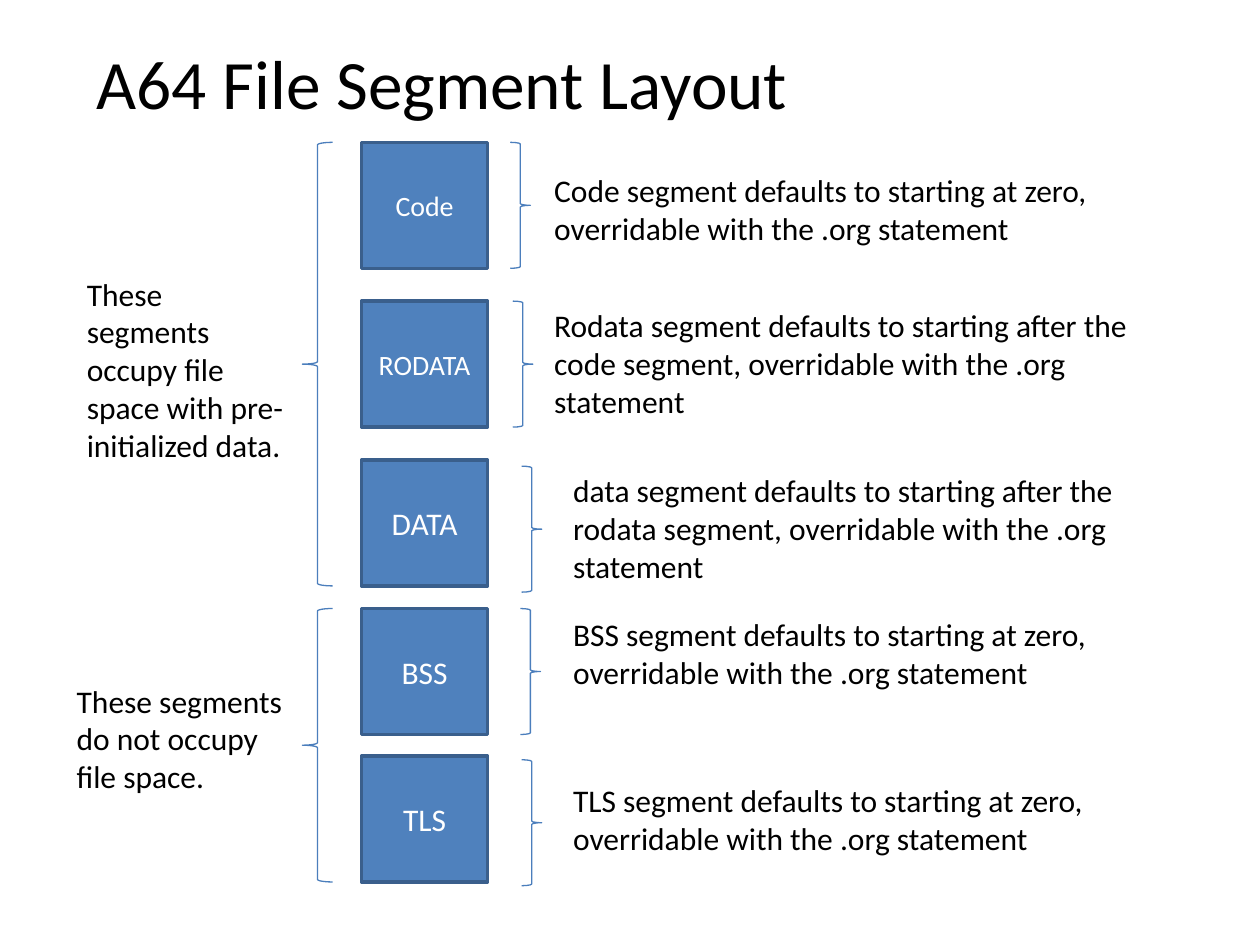
import collections
import pptx
import pptx.util
import pptx.dml.color
import pptx.enum.shapes
import pptx.enum.text

COLUMNS, ROWS = 100, 75
SHAPES = pptx.enum.shapes.MSO_SHAPE
ALIGN = pptx.enum.text.PP_ALIGN
ANCHOR = pptx.enum.text.MSO_ANCHOR
Box = collections.namedtuple("Box", "left top width height")
Segment = collections.namedtuple("Segment", "name size top brace note text")
Group = collections.namedtuple("Group", "first last note text")
Theme = collections.namedtuple("Theme", "font ink light fill edge brace title body small edge_width brace_width")
THEME = Theme("Calibri", "000000", "FFFFFF", "4F81BD", "3A5F8C", "4B7EBC", 39.6, 18, 16, 2, 0.75)
SIDE = 10

DEFAULT = "{} segment defaults to starting {}, overridable with the .org statement"
SEGMENTS = [
    Segment("Code", THEME.small, 11.3, (11.8, 0), Box(14.3, 1.8, 48.7, 7.1),
            DEFAULT.format("Code", "at zero")),
    Segment("RODATA", THEME.small, 23.9, (12, 0), Box(14.3, -0.1, 48.7, 10.1),
            DEFAULT.format("Rodata", "after the code segment")),
    Segment("DATA", THEME.body, 36.5, (12.7, 0.5), Box(15.8, 0.4, 48.7, 10.1),
            DEFAULT.format("data", "after the rodata segment")),
    Segment("BSS", THEME.body, 48.3, (12.6, 0), Box(15.8, 0, 45.7, 7.1),
            DEFAULT.format("BSS", "at zero")),
    Segment("TLS", THEME.body, 60, (12.7, 0.3), Box(15.8, 1.5, 45.7, 7.1),
            DEFAULT.format("TLS", "at zero")),
]
GROUPS = [
    Group(0, 2, Box(5.9, 10, 18.1, 16.2),
          "These segments occupy file space with pre-initialized data."),
    Group(3, 4, Box(5.1, 5.3, 18.9, 10.1),
          "These segments do not occupy file space."),
]


def assign(target, values):
    for name, value in values.items():
        setattr(target, name, value)


def color(value):
    return pptx.dml.color.RGBColor.from_string(value)


def inside(outer, left, top, width, height):
    return Box(outer.left + left, outer.top + top, width, height)


def place(deck, box):
    across, down = deck.slide_width / COLUMNS, deck.slide_height / ROWS
    return [round(box.left * across), round(box.top * down),
            round(box.width * across), round(box.height * down)]


def write(shape, text, size, ink=THEME.ink, align=ALIGN.LEFT, anchor=ANCHOR.TOP):
    assign(shape.text_frame, {"word_wrap": True, "vertical_anchor": anchor})
    para = shape.text_frame.paragraphs[0]
    para.alignment = align
    span = para.add_run()
    span.text = text
    assign(span.font, {"name": THEME.font, "size": pptx.util.Pt(size)})
    span.font.color.rgb = color(ink)


def add_text(deck, page, box, text, size=THEME.body, anchor=ANCHOR.TOP):
    write(page.shapes.add_textbox(*place(deck, box)), text, size, anchor=anchor)


def add_outline(deck, page, kind, box, line, width):
    shape = page.shapes.add_shape(kind, *place(deck, box))
    shape.shadow.inherit = False
    shape.fill.background()
    shape.line.color.rgb = color(line)
    shape.line.width = pptx.util.Pt(width)
    return shape


def add_brace(deck, page, kind, box):
    add_outline(deck, page, kind, box, THEME.brace, THEME.brace_width)


def add_segment(deck, page, box, segment):
    square = add_outline(deck, page, SHAPES.RECTANGLE, box, THEME.edge, THEME.edge_width)
    square.fill.solid()
    square.fill.fore_color.rgb = color(THEME.fill)
    write(square, segment.name, segment.size, THEME.light, ALIGN.CENTER, ANCHOR.MIDDLE)
    add_brace(deck, page, SHAPES.RIGHT_BRACE, inside(box, *segment.brace, 1.6, box.height))
    add_text(deck, page, inside(box, *segment.note), segment.text)


def add_group(deck, page, box, group):
    add_brace(deck, page, SHAPES.LEFT_BRACE, inside(box, 24, 0, 2.4, box.height))
    add_text(deck, page, inside(box, *group.note), group.text)


def build_layout_page(deck):
    page = deck.slides.add_slide(deck.slide_layouts[6])
    add_text(deck, page, Box(6.7, 2.9, 85, 7.1), "A64 File Segment Layout",
             THEME.title, ANCHOR.MIDDLE)
    for segment in SEGMENTS:
        add_segment(deck, page, Box(28.7, segment.top, SIDE, SIDE), segment)
    for group in GROUPS:
        top = SEGMENTS[group.first].top
        height = SEGMENTS[group.last].top + SIDE - top
        add_group(deck, page, Box(0, top, 26.4, height), group)


deck = pptx.Presentation()
assign(deck, {"slide_width": pptx.util.Inches(10), "slide_height": pptx.util.Inches(7.5)})
build_layout_page(deck)
deck.save("out.pptx")
